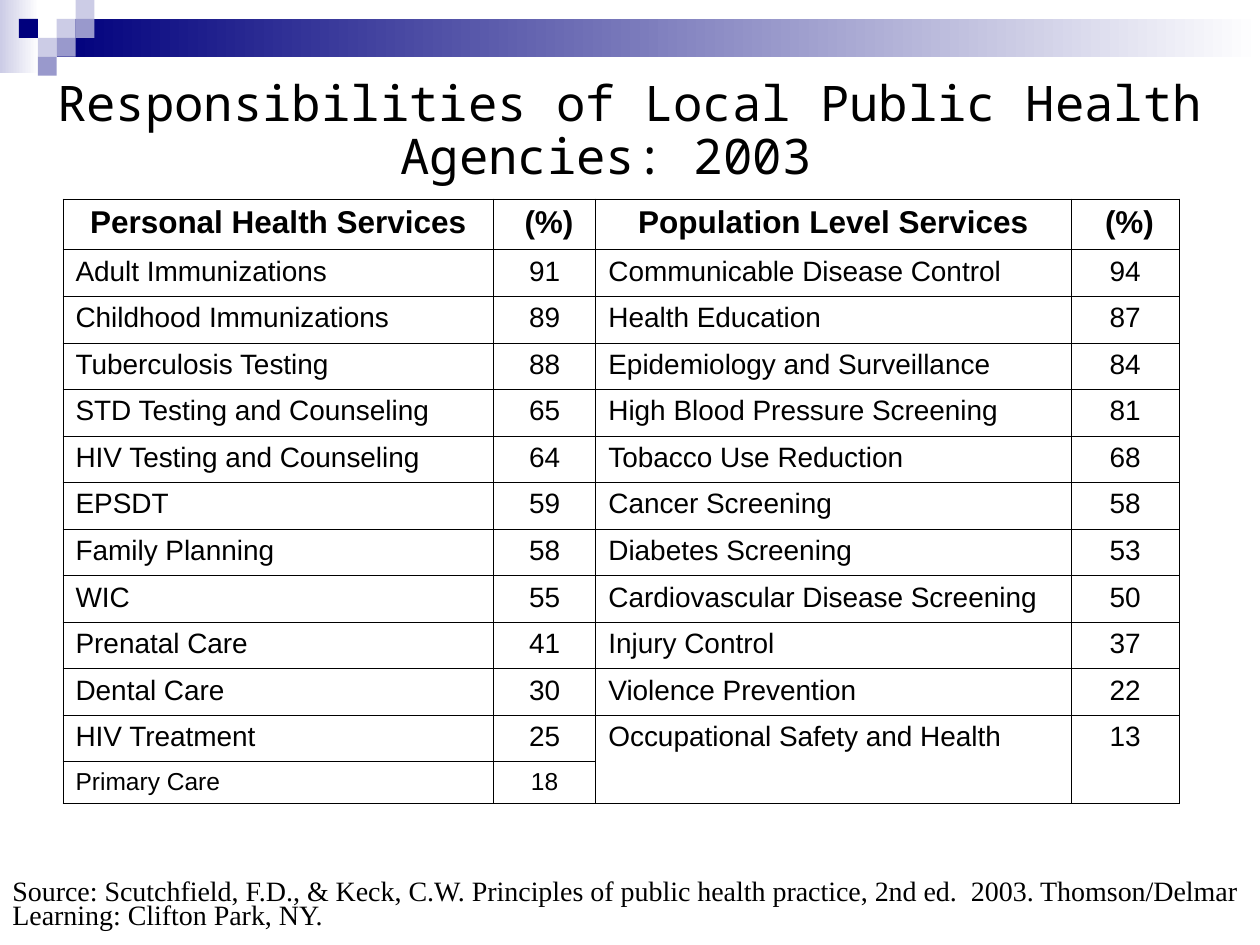
from lxml import etree
from pptx import Presentation
from pptx import util as u
from pptx.dml.color import RGBColor
from pptx.enum import shapes, text
from pptx.oxml.ns import qn

TITLE = "Responsibilities of Local Public Health Agencies: 2003"
SOURCE = ("Source: Scutchfield, F.D., & Keck, C.W. Principles of public health practice, "
          "2nd ed.  2003. Thomson/Delmar Learning: Clifton Park, NY.")
HEADER = ("Personal Health Services", " (%)", "Population Level Services", " (%)")
PERSONAL = [
    ("Adult Immunizations", 91), ("Childhood Immunizations", 89),
    ("Tuberculosis Testing", 88), ("STD Testing and Counseling", 65),
    ("HIV Testing and Counseling", 64), ("EPSDT", 59), ("Family Planning", 58),
    ("WIC", 55), ("Prenatal Care", 41), ("Dental Care", 30),
    ("HIV Treatment", 25), ("Primary Care", 18),
]
POPULATION = [
    ("Communicable Disease Control", 94), ("Health Education", 87),
    ("Epidemiology and Surveillance", 84), ("High Blood Pressure Screening", 81),
    ("Tobacco Use Reduction", 68), ("Cancer Screening", 58),
    ("Diabetes Screening", 53), ("Cardiovascular Disease Screening", 50),
    ("Injury Control", 37), ("Violence Prevention", 22),
    ("Occupational Safety and Health", 13),
]
THEME = {
    "ink": "000000", "white": "FFFFFF",
    "navy": "00007D", "mid": "9999CC", "pale": "CCCCE6",
    "title_font": "Noto Sans Mono", "table_font": "Arial", "source_font": "Times New Roman",
    "title": 28, "header": 18, "body": 16, "last": 14, "source": 16, "border": 0.45,
}
# Squares of the corner mosaic: column, row, colour
UNIT = 10.8
MOSAIC = [(3, 1, "pale"), (4, 0, "pale"), (4, 1, "mid"), (2, 2, "pale"),
          (1, 1, "navy"), (3, 2, "mid"), (2, 3, "mid")]
COLUMNS = (246, 58.5, 271.5, 62)
HEIGHTS = [29] + [26.6] * 11 + [24]


def color(name):
    return RGBColor.from_string(THEME[name])


def write(frame, words, font, size, bold=False, align=text.PP_ALIGN.LEFT,
          spacing=None, indent=0):
    frame.word_wrap = True
    para = frame.paragraphs[0]
    para.alignment = align
    if spacing:
        para.line_spacing = spacing
    if indent:
        para._p.get_or_add_pPr().set("indent", str(u.Pt(indent)))
    span = para.add_run()
    span.text = words
    span.font.name, span.font.size, span.font.bold = THEME[font], u.Pt(THEME[size]), bold
    span.font.color.rgb = color("ink")


def add_bar(slide, left, top, width, height, name, fade=False):
    bar = slide.shapes.add_shape(shapes.MSO_SHAPE.RECTANGLE,
                                 *map(u.Pt, (left, top, width, height)))
    bar.shadow.inherit = False
    bar.line.fill.background()
    if fade:
        bar.fill.gradient()
        bar.fill.gradient_angle = 180
        for stop, shade in zip(bar.fill.gradient_stops, ("white", name)):
            stop.color.rgb = color(shade)
    else:
        bar.fill.solid()
        bar.fill.fore_color.rgb = color(name)


def add_text(slide, left, top, width, height, words, font, size, side=7.2, **style):
    box = slide.shapes.add_textbox(*map(u.Pt, (left, top, width, height)))
    box.text_frame.margin_left = box.text_frame.margin_right = u.Pt(side)
    write(box.text_frame, words, font, size, **style)


def add_borders(cell):
    props = cell._tc.get_or_add_tcPr()
    for index, side in enumerate(("a:lnL", "a:lnR", "a:lnT", "a:lnB")):
        line = etree.Element(qn(side), w=str(u.Pt(THEME["border"])))
        fill = etree.SubElement(line, qn("a:solidFill"))
        etree.SubElement(fill, qn("a:srgbClr"), val=THEME["ink"])
        props.insert(index, line)


def add_services(slide):
    rows = [HEADER] + [left + right for left, right
                       in zip(PERSONAL, POPULATION + [("", "")])]
    table = slide.shapes.add_table(len(rows), len(COLUMNS), u.Pt(36), u.Pt(113.76),
                                   u.Pt(sum(COLUMNS)), u.Pt(sum(HEIGHTS))).table
    table.first_row = table.horz_banding = False
    for column, width in zip(table.columns, COLUMNS):
        column.width = u.Pt(width)
    last = len(rows) - 1
    for r, values in enumerate(rows):
        table.rows[r].height = u.Pt(HEIGHTS[r])
        size = {0: "header", last: "last"}.get(r, "body")
        for c, value in enumerate(values):
            cell = table.cell(r, c)
            cell.fill.background()
            add_borders(cell)
            if value != "":
                centred = r == 0 or c % 2
                write(cell.text_frame, str(value), "table_font", size, bold=r == 0,
                      align=text.PP_ALIGN.CENTER if centred else text.PP_ALIGN.LEFT)
    # The shorter list ends in cells two rows high
    for c in (2, 3):
        table.cell(last - 1, c).merge(table.cell(last, c))


def main():
    deck = Presentation()
    deck.slide_width, deck.slide_height = u.Pt(720), u.Pt(540)
    slide = deck.slides.add_slide(deck.slide_layouts[6])
    # Banner and corner mosaic
    add_bar(slide, 0, 0, 22.3, 41.8, "pale", fade=True)
    add_bar(slide, 3 * UNIT, UNIT, 720 - 3 * UNIT, 2 * UNIT, "navy", fade=True)
    for column, row, name in MOSAIC:
        add_bar(slide, column * UNIT, row * UNIT, UNIT, UNIT, name)
    # Title, table and source
    add_text(slide, 0, 41.8, 692.6, 77.8, TITLE, "title_font", "title", side=2,
             align=text.PP_ALIGN.CENTER, spacing=0.9, indent=27)
    add_services(slide)
    add_text(slide, 0, 501, 720, 34.6, SOURCE, "source_font", "source", spacing=0.7)
    deck.save("out.pptx")


if __name__ == "__main__":
    main()
